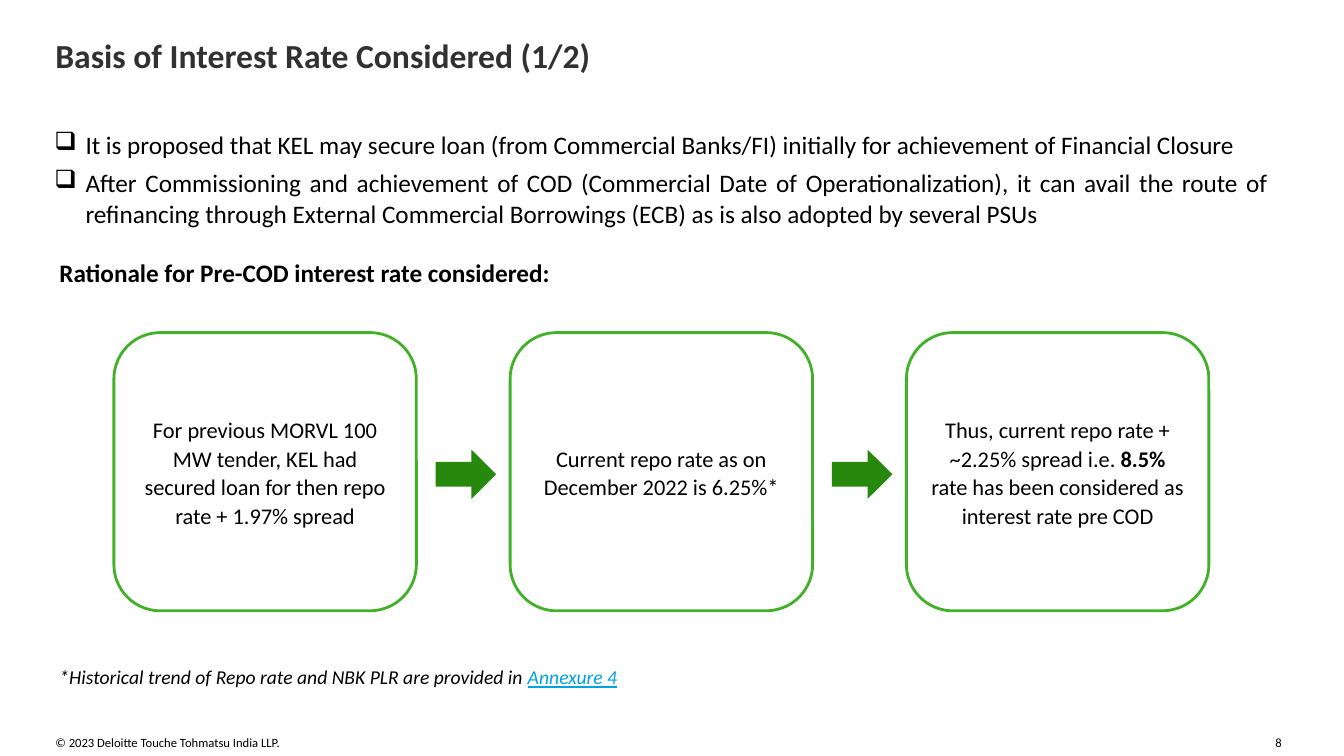
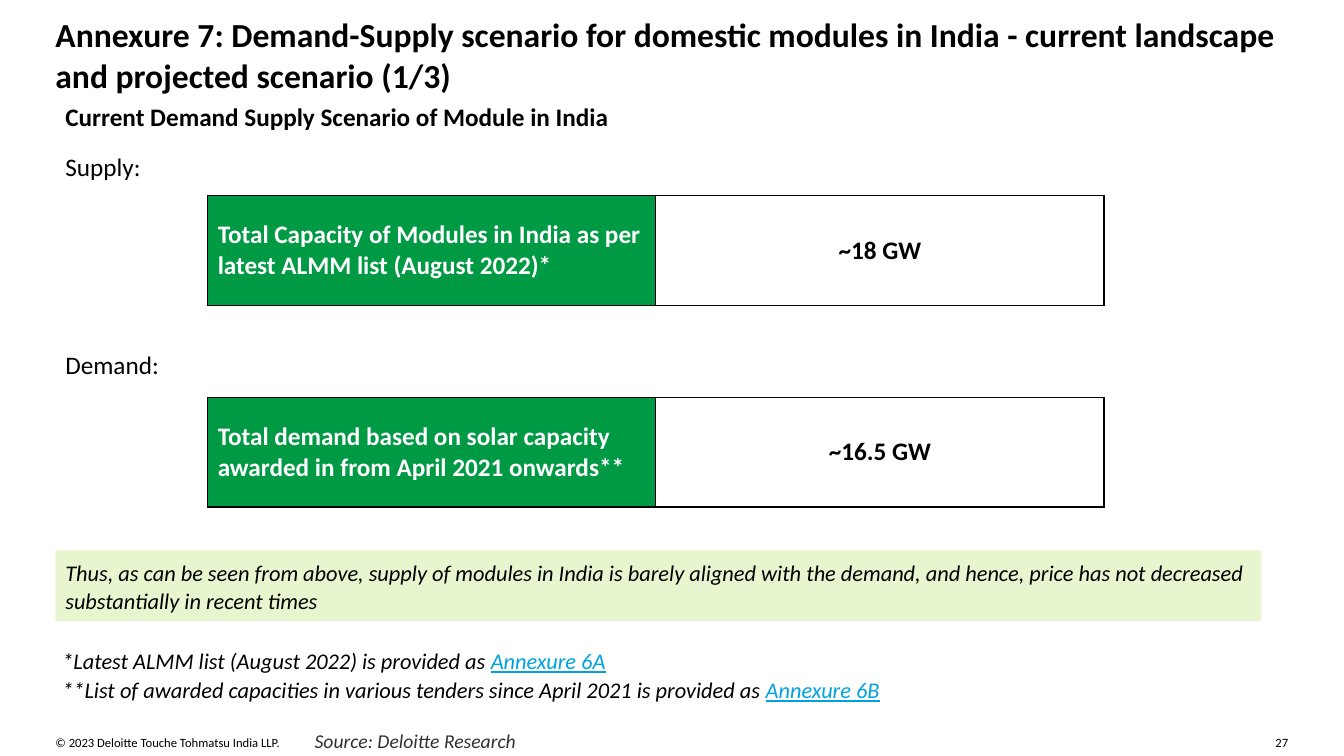
"""Builds two slides on the interest rate basis and module demand and supply."""
from lxml import etree
from pptx import Presentation
from pptx.dml.color import RGBColor
from pptx.enum.shapes import MSO_SHAPE
from pptx.enum.text import MSO_ANCHOR, PP_ALIGN
from pptx.oxml.ns import qn
from pptx.util import Inches, Pt

LEFT, CENTER, JUSTIFY = PP_ALIGN.LEFT, PP_ALIGN.CENTER, PP_ALIGN.JUSTIFY
TOP, MIDDLE = MSO_ANCHOR.TOP, MSO_ANCHOR.MIDDLE
ROUNDED, RECTANGLE, ARROW = MSO_SHAPE.ROUNDED_RECTANGLE, MSO_SHAPE.RECTANGLE, MSO_SHAPE.RIGHT_ARROW

FONT = "Calibri"
BLACK, WHITE, CHARCOAL = "000000", "FFFFFF", "313131"
OUTLINE_GREEN, ARROW_GREEN, TABLE_GREEN = "43B02A", "26890D", "009A44"
PALE_GREEN, LINK_BLUE = "E8F6CF", "00A3E0"
MARGIN = 0.55
INDENT = 0.31
LINK = {"color": LINK_BLUE, "underline": True}


def rgb(value):
    """Turn a hex string into a colour."""
    return RGBColor.from_string(value)


def add_bullet(paragraph):
    """Give a paragraph a hanging box bullet."""
    properties = paragraph._p.get_or_add_pPr()
    properties.set("marL", str(Inches(INDENT)))
    properties.set("indent", str(-Inches(INDENT)))
    etree.SubElement(properties, qn("a:buChar")).set("char", "❑")


def write_text(frame, paragraphs, size=18, color=BLACK, bold=False, italic=False,
               align=LEFT, line_spacing=None, after=0, bullet=False):
    """Fill a frame with paragraphs, each a string or a list of (text, overrides) runs."""
    for index, content in enumerate(paragraphs):
        paragraph = frame.add_paragraph() if index else frame.paragraphs[0]
        paragraph.alignment = align
        paragraph.space_after = Pt(after)
        if line_spacing:
            paragraph.line_spacing = line_spacing
        if bullet:
            add_bullet(paragraph)
        runs = [(content, {})] if isinstance(content, str) else content
        for text, changes in runs:
            run = paragraph.add_run()
            run.text = text
            font = run.font
            font.name = FONT
            font.size = Pt(size)
            font.bold = changes.get("bold", bold)
            font.italic = italic
            font.underline = changes.get("underline", False)
            font.color.rgb = rgb(changes.get("color", color))


def set_frame(frame, inset, anchor, wrap=True):
    """Set the inner margins, anchor and wrapping of a frame."""
    horizontal, vertical = inset
    frame.margin_left = frame.margin_right = Inches(horizontal)
    frame.margin_top = frame.margin_bottom = Inches(vertical)
    frame.vertical_anchor = anchor
    frame.word_wrap = wrap


def add_text(slide, place, paragraphs, inset=(0.1, 0.05), anchor=TOP, wrap=True, **style):
    """Add a text box."""
    frame = slide.shapes.add_textbox(*map(Inches, place)).text_frame
    set_frame(frame, inset, anchor, wrap)
    write_text(frame, paragraphs, **style)


def add_panel(slide, kind, place, fill, outline=None, paragraphs=(), **style):
    """Add a filled shape with optional outline and text."""
    panel = slide.shapes.add_shape(kind, *map(Inches, place))
    panel.shadow.inherit = False
    panel.fill.solid()
    panel.fill.fore_color.rgb = rgb(fill)
    if outline:
        panel.line.color.rgb = rgb(outline)
        panel.line.width = Pt(2)
    else:
        panel.line.fill.background()
    set_frame(panel.text_frame, (0.1, 0.1), MIDDLE)
    write_text(panel.text_frame, paragraphs, size=16, line_spacing=1.06, **style)


def add_borders(cell):
    """Draw thin black borders around a table cell."""
    properties = cell._tc.get_or_add_tcPr()
    for side in ("lnL", "lnR", "lnT", "lnB"):
        border = etree.SubElement(properties, qn(f"a:{side}"), w=str(Pt(1)))
        solid = etree.SubElement(border, qn("a:solidFill"))
        etree.SubElement(solid, qn("a:srgbClr"), val=BLACK)


def add_figure_table(slide, top, label, figure):
    """Add a one-row table with a green label and its figure."""
    place = map(Inches, (2.06, top, 8.89, 1.09))
    table = slide.shapes.add_table(1, 2, *place).table
    table.first_row = table.horz_banding = False
    label_cell, figure_cell = table.cell(0, 0), table.cell(0, 1)
    for cell in (label_cell, figure_cell):
        add_borders(cell)
        cell.vertical_anchor = MIDDLE
    label_cell.fill.solid()
    label_cell.fill.fore_color.rgb = rgb(TABLE_GREEN)
    figure_cell.fill.background()
    write_text(label_cell.text_frame, [label], color=WHITE, bold=True)
    write_text(figure_cell.text_frame, [figure], bold=True, align=CENTER)


def start_slide(deck, title, title_top, number, title_color=BLACK):
    """Add a blank slide with its title and footer."""
    slide = deck.slides.add_slide(deck.slide_layouts[6])
    add_text(slide, (MARGIN, title_top, 12.24, 0.37), [title], inset=(0, 0),
             size=24, bold=True, color=title_color)
    add_text(slide, (MARGIN, 7.29, 5.86, 0.15),
             ["© 2023 Deloitte Touche Tohmatsu India LLP."], inset=(0, 0), size=9)
    add_text(slide, (12.65, 7.29, 0.15, 0.15), [str(number)], inset=(0, 0),
             wrap=False, size=9)
    return slide


def build_interest_rate(deck):
    """Build the slide on the basis of the interest rate."""
    slide = start_slide(deck, "Basis of Interest Rate Considered (1/2)", 0.35, 8, CHARCOAL)
    add_text(slide, (0.44, 1.23, 12.24, 1.09), [
        "It is proposed that KEL may secure loan (from Commercial Banks/FI) initially "
        "for achievement of Financial Closure",
        "After Commissioning and achievement of COD (Commercial Date of Operationalization), "
        "it can avail the route of refinancing through External Commercial Borrowings (ECB) "
        "as is also adopted by several PSUs",
    ], align=JUSTIFY, after=6, bullet=True)
    add_text(slide, (0.49, 2.5, 12.12, 0.4),
             ["Rationale for Pre-COD interest rate considered:"], bold=True)

    steps = [
        "For previous MORVL 100 MW tender, KEL had secured loan for then repo rate + 1.97% spread",
        "Current repo rate as on December 2022 is 6.25%*",
        [("Thus, current repo rate + ~2.25% spread i.e. ", {}), ("8.5%", {"bold": True}),
         (" rate has been considered as interest rate pre COD", {})],
    ]
    first_left, pitch, arrow_offset = 1.13, 3.93, 3.19
    for index, step in enumerate(steps):
        left = first_left + index * pitch
        add_panel(slide, ROUNDED, (left, 3.3, 3, 2.76), WHITE, OUTLINE_GREEN, [step],
                  align=CENTER)
        if index < len(steps) - 1:
            add_panel(slide, ARROW, (left + arrow_offset, 4.46, 0.6, 0.49), ARROW_GREEN)

    add_text(slide, (0.49, 6.55, 12.12, 0.34), [
        [("*Historical trend of Repo rate and NBK PLR are provided in ", {}),
         ("Annexure 4", LINK)],
    ], size=14, italic=True)


def build_demand_supply(deck):
    """Build the slide on the demand and supply of modules."""
    slide = start_slide(deck, "Annexure 7: Demand-Supply scenario for domestic modules in India "
                        "- current landscape and projected scenario (1/3)", 0.14, 27)
    add_text(slide, (3.12, 7.23, 2.93, 0.24), ["Source: Deloitte Research"],
             inset=(0, 0), size=14, italic=True, color=CHARCOAL)
    add_text(slide, (MARGIN, 0.96, 12.12, 0.4),
             ["Current Demand Supply Scenario of Module in India"], bold=True)

    sections = [
        ("Supply:", 1.45, 1.94,
         "Total Capacity of Modules in India as per latest ALMM list (August 2022)*", "~18 GW"),
        ("Demand:", 3.42, 3.94,
         "Total demand based on solar capacity awarded in from April 2021 onwards**", "~16.5 GW"),
    ]
    for heading, heading_top, table_top, label, figure in sections:
        add_text(slide, (MARGIN, heading_top, 12.12, 0.4), [heading])
        add_figure_table(slide, table_top, label, figure)

    add_panel(slide, RECTANGLE, (MARGIN, 5.46, 11.96, 0.7), PALE_GREEN, paragraphs=[
        "Thus, as can be seen from above, supply of modules in India is barely aligned with "
        "the demand, and hence, price has not decreased substantially in recent times",
    ], italic=True)
    add_text(slide, (0.52, 6.34, 11.96, 0.7), [
        [("*Latest ALMM list (August 2022) is provided as ", {}), ("Annexure 6A", LINK)],
        [("**List of awarded capacities in various tenders since April 2021 is provided as ", {}),
         ("Annexure 6B", LINK)],
    ], inset=(0.1, 0.1), anchor=MIDDLE, size=16, italic=True, line_spacing=1.06)


def main():
    """Build and save the deck."""
    deck = Presentation()
    deck.slide_width, deck.slide_height = Inches(13.33), Inches(7.5)
    build_interest_rate(deck)
    build_demand_supply(deck)
    deck.save("out.pptx")


if __name__ == "__main__":
    main()
